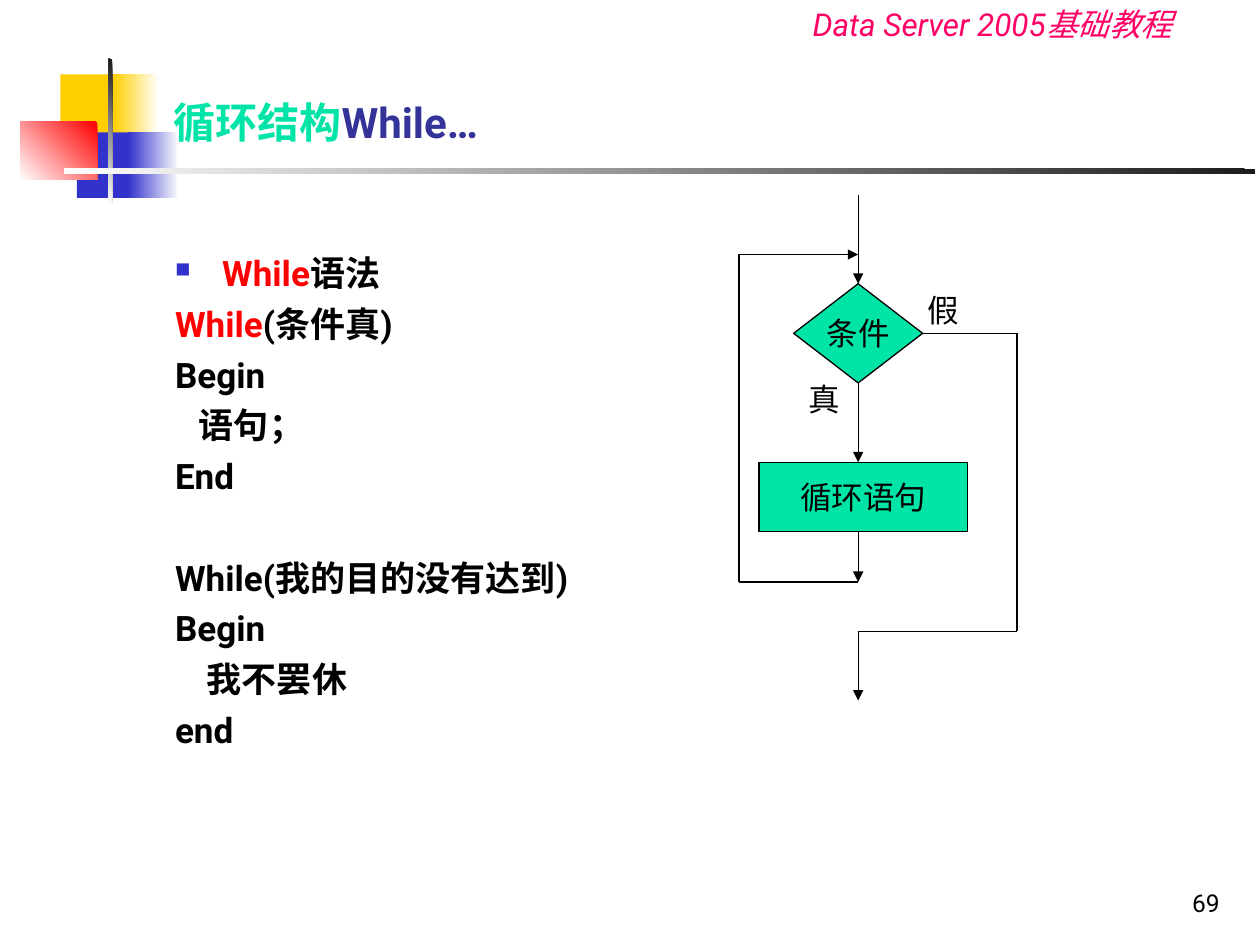
from pptx import Presentation
from pptx.dml.color import RGBColor
from pptx.enum.shapes import MSO_CONNECTOR, MSO_SHAPE as SHAPE
from pptx.enum.text import MSO_ANCHOR as ANCHOR, PP_ALIGN as ALIGN
from pptx.oxml.ns import qn
from pptx.util import Cm, Pt
from lxml.etree import SubElement

FONT = "Roboto"
COLORS = {"yellow": "FFCF01", "blue": "3333CC", "red": "FF0000",
          "dark": "1C1C1C", "white": "FFFFFF", "black": "000000",
          "pink": "FF0066", "green": "00E4A8", "navy": "333399"}

# Content: runs are (text, colour); lengths are cm
HEADER = [("Data Server 2005基础教程", "pink")]
TITLE = [("循环结构", "green"), ("While…", "navy")]
NUMBER = [("69", "black")]
CODE = [
    [("While", "red"), ("语法", "black")],
    [("While", "red"), ("(条件真)", "black")],
    [("Begin", "black")],
    [("   语句；", "black")],
    [("End", "black")],
    [("While(我的目的没有达到)", "black")],
    [("Begin", "black")],
    [("    我不罢休", "black")],
    [("end", "black")],
]
BULLET_LINE, SECOND_EXAMPLE = 0, 5

# Ornament: box, colours from first to last stop, gradient angle
ORNAMENT = [
    ((1.22, 1.5, 1.22, 1.32), ["yellow"], None),
    ((2.29, 1.5, 0.91, 1.32), ["white", "yellow"], 180),
    ((1.55, 2.67, 1.17, 1.32), ["blue"], None),
    ((2.59, 2.67, 1.02, 1.32), ["white", "blue"], 180),
    ((0.41, 2.46, 1.55, 1.17), ["red", "white"], 225),
    ((2.18, 1.19, 0.08, 2.92), ["dark", "white"], 225),
    ((1.3, 3.4, 24.0, 0.1), ["dark", "white"], 225),
]

# Flowchart
AXIS, LOOP_X, EXIT_X = 17.3, 14.9, 20.5
START_Y, MERGE_Y, BACK_Y, EXIT_Y, END_Y = 3.94, 5.13, 11.73, 12.73, 14.12
TEST = (16.0, 5.72, 2.6, 2.0)
BODY = (15.3, 9.32, 4.2, 1.4)
TEST_Y = TEST[1] + TEST[3] / 2
TEST_END = TEST[1] + TEST[3]
BODY_END = BODY[1] + BODY[3]
LABELS = [("真", (16.05, 7.54, 1.14, 1.02)), ("假", (18.44, 5.74, 1.14, 1.02))]
# from, to, arrowhead, (joined end, site on the test diamond)
LINES = [
    ((AXIS, START_Y), (AXIS, TEST[1]), True, ("end", 0)),
    ((AXIS, TEST_END), (AXIS, BODY[1]), True, ("begin", 2)),
    ((TEST[0] + TEST[2], TEST_Y), (EXIT_X, TEST_Y), False, ("begin", 3)),
    ((EXIT_X, TEST_Y), (EXIT_X, EXIT_Y), False, None),
    ((AXIS, BODY_END), (AXIS, BACK_Y), True, None),
    ((LOOP_X, BACK_Y), (AXIS, BACK_Y), False, None),
    ((LOOP_X, MERGE_Y), (LOOP_X, BACK_Y), False, None),
    ((LOOP_X, MERGE_Y), (AXIS, MERGE_Y), True, None),
    ((AXIS, EXIT_Y), (EXIT_X, EXIT_Y), False, None),
    ((AXIS, EXIT_Y), (AXIS, END_Y), True, None),
]


def rgb(name):
    return RGBColor.from_string(COLORS[name])


def add_runs(p, runs, size, bold=False, italic=False):
    for text, color in runs:
        r = p.add_run()
        r.text = text
        r.font.name, r.font.size = FONT, Pt(size)
        r.font.bold, r.font.italic = bold, italic
        r.font.color.rgb = rgb(color)


def add_text(box, runs, size, anchor=ANCHOR.TOP, align=ALIGN.LEFT,
             wrap=True, **style):
    tf = slide.shapes.add_textbox(*map(Cm, box)).text_frame
    tf.word_wrap, tf.vertical_anchor = wrap, anchor
    p = tf.paragraphs[0]
    p.alignment = align
    add_runs(p, runs, size, **style)
    return tf


def add_shape(kind, box, colors, angle=None):
    s = slide.shapes.add_shape(kind, *map(Cm, box))
    s.shadow.inherit = False
    s.line.fill.background()
    if angle is None:
        s.fill.solid()
        s.fill.fore_color.rgb = rgb(colors[0])
    else:
        s.fill.gradient()
        s.fill.gradient_angle = angle
        for stop, color in zip(s.fill.gradient_stops, colors):
            stop.color.rgb = rgb(color)
    return s


def add_step(kind, box, text):
    s = add_shape(kind, box, ["green"])
    s.line.color.rgb, s.line.width = rgb("black"), Pt(0.75)
    tf = s.text_frame
    tf.word_wrap, tf.vertical_anchor = False, ANCHOR.MIDDLE
    tf.paragraphs[0].alignment = ALIGN.CENTER
    add_runs(tf.paragraphs[0], [(text, "black")], 18)
    return s


def add_line(start, end, arrow):
    s = slide.shapes.add_connector(MSO_CONNECTOR.STRAIGHT,
                                   *map(Cm, start + end))
    s.line.color.rgb, s.line.width = rgb("black"), Pt(0.75)
    if arrow:
        SubElement(s.line._ln, qn("a:tailEnd"), type="triangle")
    SubElement(s._element.spPr, qn("a:effectLst"))
    return s


def add_bullet(p):
    pPr = p._p.get_or_add_pPr()
    pPr.set("marL", str(Cm(0.95)))
    pPr.set("indent", str(-Cm(0.95)))
    SubElement(SubElement(pPr, qn("a:buClr")), qn("a:srgbClr"),
               val=COLORS["blue"])
    SubElement(pPr, qn("a:buSzPct"), val="60000")
    SubElement(pPr, qn("a:buChar"), char="■")


prs = Presentation()
prs.slide_width, prs.slide_height = Cm(25.4), Cm(19.05)
slide = prs.slides.add_slide(prs.slide_layouts[6])

# Ornament, header and title
for box, colors, angle in ORNAMENT:
    add_shape(SHAPE.RECTANGLE, box, colors, angle)
add_text((16.13, -0.03, 7.98, 1.02), HEADER, 18, wrap=False, italic=True)
add_text((3.25, 1.57, 21.64, 1.52), TITLE, 24, ANCHOR.BOTTOM, bold=True)

# Syntax and example
tf = add_text((3.28, 4.95, 9.22, 12.1), [], 20)
for i, runs in enumerate(CODE):
    p = tf.add_paragraph() if i else tf.paragraphs[0]
    if i:
        p.space_before = Pt(34 if i == SECOND_EXAMPLE else 5)
    if i == BULLET_LINE:
        add_bullet(p)
    add_runs(p, runs, 20, bold=True)

# Flowchart
test = add_step(SHAPE.DIAMOND, TEST, "条件")
add_step(SHAPE.RECTANGLE, BODY, "循环语句")
for text, box in LABELS:
    add_text(box, [(text, "black")], 18, wrap=False)
for start, end, arrow, joint in LINES:
    s = add_line(start, end, arrow)
    if joint:
        side, site = joint
        join = s.begin_connect if side == "begin" else s.end_connect
        join(test, site)

# Slide number
add_text((19.56, 17.35, 5.28, 1.27), NUMBER, 14, ANCHOR.BOTTOM, ALIGN.RIGHT)

prs.save("out.pptx")
